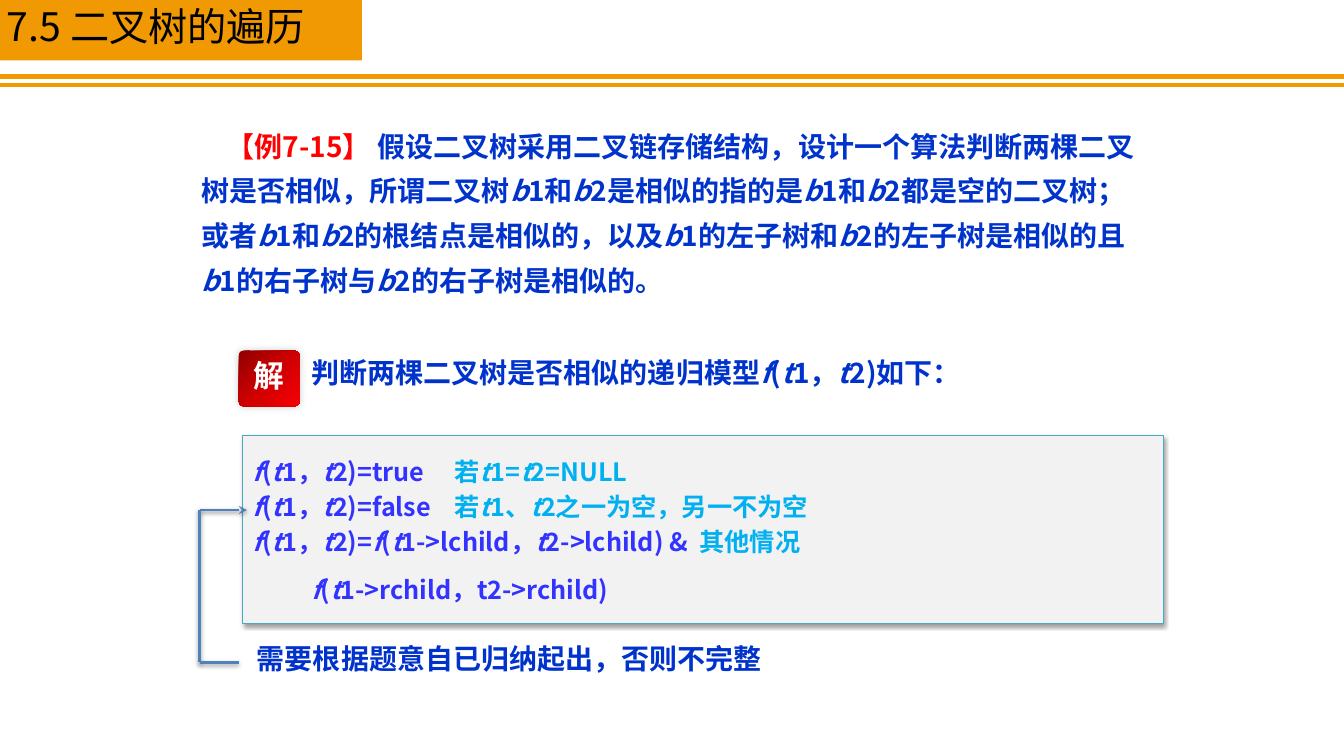
from pptx import Presentation
from pptx.dml.color import RGBColor
from pptx.enum import shapes, text
from pptx.oxml import parse_xml
from pptx.oxml import ns
from pptx.util import Inches, Pt

FONT = "Noto Sans CJK SC"
COLORS = {
    "orange": "F19903", "black": "000000", "white": "FFFFFF",
    "blue": "0033CC", "red": "FF0000", "code": "3333FF", "case": "00B0F0",
    "panel": "F2F2F2", "panel_line": "46AAC5", "bracket": "4F81BD",
}
BADGE_STOPS = ((0, "8F0000"), (50, "CF0001"), (100, "F60004"))


def color(name):
    return RGBColor.from_string(COLORS[name])


def add_xml(parent, body):
    """Append an element of the drawing namespace to parent."""
    parent.append(parse_xml(body.replace(">", f" {ns.nsdecls('a')}>", 1)))


def set_effect(part, alpha=0, blur=0, distance=0, angle=0):
    """Give a part one outer shadow, or none when alpha is 0."""
    shadow = (f'<a:outerShdw blurRad="{Pt(blur)}" dist="{Pt(distance)}" '
              f'dir="{angle * 60000}" rotWithShape="0"><a:srgbClr val="000000">'
              f'<a:alpha val="{alpha * 1000}"/></a:srgbClr></a:outerShdw>')
    add_xml(part._element.spPr,
            f"<a:effectLst>{shadow if alpha else ''}</a:effectLst>")


def soft_shadow(part):
    set_effect(part, 38, 3.1, 1.6, 90)


def write(para, spans, size, bold=True, spacing=0.8, before=0, indent=0,
          first=0, tab=0):
    """Fill a paragraph from (text, colour) spans; *x* sets x in italics."""
    para.line_spacing = spacing
    if before:
        para.space_before = Pt(before)
    props = para._p.get_or_add_pPr()
    props.set("marL", str(Inches(indent)))
    props.set("indent", str(Inches(first)))
    if tab:
        add_xml(props, f'<a:tabLst><a:tab pos="{Inches(tab)}" algn="l"/></a:tabLst>')
    font = para.font
    font.name, font.size, font.bold = FONT, Pt(size), bold
    add_xml(font._element, f'<a:ea typeface="{FONT}"></a:ea>')
    if len(spans) == 1:
        font.color.rgb = color(spans[0][1])
    for words, tint in spans:
        for number, piece in enumerate(words.split("*")):
            if not piece:
                continue
            span = para.add_run()
            span.text = piece
            if number % 2:
                span.font.italic = True
            if len(spans) > 1:
                span.font.color.rgb = color(tint)


def add_text(page, left, top, width, height, spans, size, **style):
    box = page.shapes.add_textbox(*map(Inches, (left, top, width, height)))
    box.text_frame.word_wrap = True
    write(box.text_frame.paragraphs[0], spans, size, **style)


def add_block(page, kind, left, top, width, height):
    return page.shapes.add_shape(kind, *map(Inches, (left, top, width, height)))


def add_line(page, x1, y1, x2, y2, tint, weight):
    line = page.shapes.add_connector(
        shapes.MSO_CONNECTOR.STRAIGHT, *map(Inches, (x1, y1, x2, y2)))
    line.line.color.rgb = color(tint)
    line.line.width = Pt(weight)
    return line


def add_header(page, left, top, width, height):
    # Title block with a double rule across the page
    band = add_block(page, shapes.MSO_SHAPE.RECTANGLE, left, top, width, height)
    band.fill.solid()
    band.fill.fore_color.rgb = color("orange")
    band.line.fill.background()
    band.shadow.inherit = False
    add_text(page, left, top + 0.06, width - 0.24, 0.48,
             [("7.5 二叉树的遍历", "black")], 28, bold=False)
    for offset in (0.16, 0.24):
        y = top + height + offset
        set_effect(add_line(page, 0, y, 13.33, y, "orange", 3))


def add_example(page, left, top, width, height):
    # Statement of the exercise
    add_text(page, left, top, width, height, [
        ("【例7-15】 ", "red"),
        ("假设二叉树采用二叉链存储结构，设计一个算法判断两棵二叉树是否相似，"
         "所谓二叉树*b*1和*b*2是相似的指的是*b*1和*b*2都是空的二叉树；"
         "或者*b*1和*b*2的根结点是相似的，以及*b*1的左子树和*b*2的左子树"
         "是相似的且*b*1的右子树与*b*2的右子树是相似的。", "blue"),
    ], 20, spacing=Pt(32), first=0.25)


def add_solution(page, left, top, width, height):
    # Red badge and the sentence beside it
    badge = add_block(page, shapes.MSO_SHAPE.ROUNDED_RECTANGLE,
                      left, top, width, height)
    badge.adjustments[0] = 0.08
    badge.line.fill.background()
    stops = "".join(f'<a:gs pos="{place * 1000}"><a:srgbClr val="{tint}"/></a:gs>'
                    for place, tint in BADGE_STOPS)
    fill = parse_xml(f'<a:gradFill {ns.nsdecls("a")} rotWithShape="1">'
                     f'<a:gsLst>{stops}</a:gsLst>'
                     '<a:lin ang="2700000" scaled="0"/></a:gradFill>')
    badge._element.spPr.insert(2, fill)
    set_effect(badge, 20, 6, 0, 225)
    frame = badge.text_frame
    frame.word_wrap = False
    frame.vertical_anchor = text.MSO_ANCHOR.MIDDLE
    write(frame.paragraphs[0], [("解", "white")], 22)
    frame.paragraphs[0].alignment = text.PP_ALIGN.CENTER
    add_text(page, left + 0.62, top + 0.06, 7.63, 0.37,
             [("判断两棵二叉树是否相似的递归模型*f*(*t*1，*t*2)如下：", "blue")], 20)


def add_model(page, left, top, width, height):
    # Panel with the recursive model
    panel = add_block(page, shapes.MSO_SHAPE.RECTANGLE, left, top, width, height)
    panel.fill.solid()
    panel.fill.fore_color.rgb = color("panel")
    panel.line.color.rgb = color("panel_line")
    panel.line.width = Pt(0.75)
    soft_shadow(panel)
    frame = panel.text_frame
    frame.word_wrap = True
    frame.vertical_anchor = text.MSO_ANCHOR.TOP
    frame.margin_top = frame.margin_bottom = Inches(0.16)
    head = "*f*(*t*1，*t*2)="
    rows = (
        ([(head + "true\t", "code"), ("若*t*1=*t*2=NULL", "case")], {"tab": 4.17}),
        ([(head + "false\t", "code"),
          ("若*t*1、*t*2之一为空，另一不为空", "case")], {"tab": 5.16}),
        ([(head + "*f*(*t*1->lchild，*t*2->lchild) &  ", "code"),
          ("其他情况", "case")], {}),
        ([("*f*(*t*1->rchild，t2->rchild)", "code")],
         {"indent": 0.58, "before": 9}),
    )
    for number, (spans, style) in enumerate(rows):
        para = frame.add_paragraph() if number else frame.paragraphs[0]
        para.alignment = text.PP_ALIGN.LEFT
        write(para, spans, 18, spacing=Pt(25), **style)


def add_remark(page, left, top, width, height):
    # Bracket from the remark up to the panel
    bottom = top + height
    arrow = add_line(page, left, top, left + width, top, "bracket", 2)
    add_xml(arrow.line._get_or_add_ln(), '<a:tailEnd type="stealth"></a:tailEnd>')
    side = add_line(page, left, top, left, bottom, "bracket", 2)
    foot = add_line(page, left, bottom, left + 0.39, bottom, "bracket", 2)
    for line in (arrow, side, foot):
        soft_shadow(line)
    add_text(page, left + width, bottom - 0.19, 6.3, 0.37,
             [("需要根据题意自已归纳起出，否则不完整", "blue")], 20)


def main():
    deck = Presentation()
    deck.slide_width, deck.slide_height = Inches(13.33), Inches(7.5)
    page = deck.slides.add_slide(deck.slide_layouts[6])
    add_header(page, -0.03, 0, 3.62, 0.6)
    add_example(page, 1.9, 1.12, 9.53, 1.9)
    add_model(page, 2.41, 4.32, 9.13, 1.87)
    add_remark(page, 1.98, 5.06, 0.47, 1.51)
    add_solution(page, 2.37, 3.48, 0.6, 0.55)
    deck.save("out.pptx")


if __name__ == "__main__":
    main()
